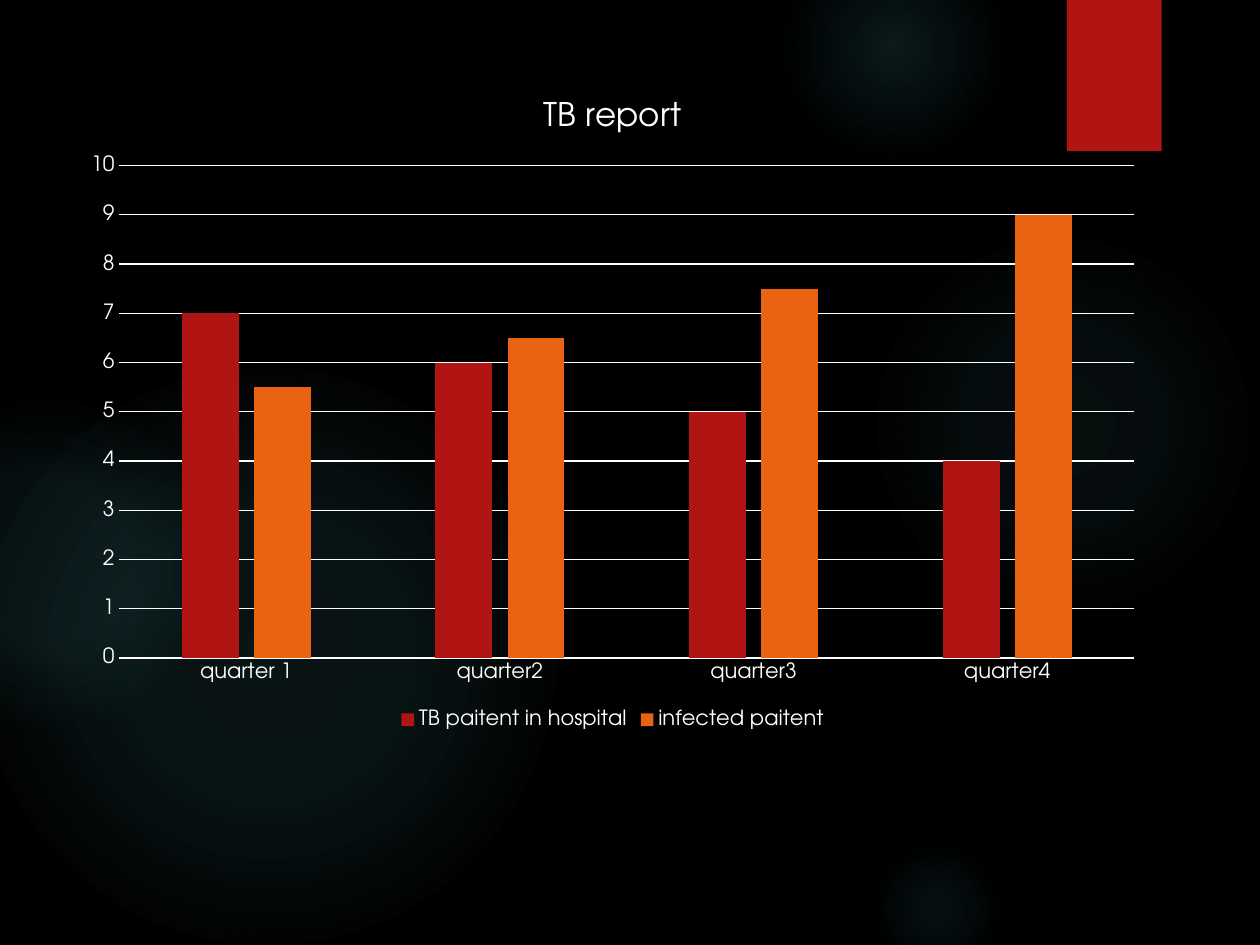
from pptx import Presentation
from pptx.chart.data import CategoryChartData
from pptx.dml.color import RGBColor
from pptx.enum.chart import XL_CHART_TYPE, XL_LEGEND_POSITION, XL_TICK_MARK
from pptx.enum.shapes import MSO_SHAPE
from pptx.oxml import parse_xml
from pptx.oxml.ns import nsdecls
from pptx.util import Cm, Pt

FONT = "TeX Gyre Adventor"
COLORS = {
    "back": "000000",
    "text": "FFFFFF",
    "glow": "50B9C1",
    "red": "B01513",
    "orange": "EA6312",
}
GLOWS = [
    (17.5, 4.65, 7.82, [(0, 7), (36, 6), (69, 0)]),
    (15.8, -1.27, 4.45, [(0, 14), (36, 7), (73, 0)]),
    (17.5, 16.94, 2.74, [(0, 9), (36, 5), (66, 0)]),
    (-0.43, 7.42, 11.63, [(0, 11), (36, 10), (75, 0)]),
    (-2.34, 8.05, 6.55, [(0, 8), (36, 8), (72, 0)]),
]
QUARTERS = ["quarter 1", "quarter2", "quarter3", "quarter4"]
SERIES = [
    ("TB paitent in hospital", [7, 6, 5, 4], "red"),
    ("infected paitent", [5.5, 6.5, 7.5, 9], "orange"),
]


def color(name):
    return RGBColor.from_string(COLORS[name])


def set_font(font, size):
    font.name = FONT
    font.size = Pt(size)
    font.color.rgb = color("text")


def set_line(line):
    line.color.rgb = color("text")
    line.width = Pt(0.75)


def add_plain(slide, kind, box):
    shape = slide.shapes.add_shape(kind, *map(Cm, box))
    shape.shadow.inherit = False
    shape.line.fill.background()
    return shape


def add_glow(slide, box, stops):
    shape = add_plain(slide, MSO_SHAPE.OVAL, box)
    shape.fill.background()
    marks = "".join(
        f'<a:gs pos="{spot * 1000}"><a:srgbClr val="{COLORS["glow"]}">'
        f'<a:alpha val="{alpha * 1000}"/></a:srgbClr></a:gs>'
        for spot, alpha in stops
    )
    grad = parse_xml(
        f'<a:gradFill {nsdecls("a")}><a:gsLst>{marks}</a:gsLst>'
        '<a:path path="circle"><a:fillToRect l="50000" t="50000" '
        'r="50000" b="50000"/></a:path></a:gradFill>'
    )
    props = shape.element.spPr
    props.replace(props.find("{*}noFill"), grad)


def add_decor(slide):
    fill = slide.background.fill
    fill.solid()
    fill.fore_color.rgb = color("back")
    for left, top, size, stops in GLOWS:
        add_glow(slide, (left, top, size, size), stops)
    tab = add_plain(slide, MSO_SHAPE.RECTANGLE, (21.51, 0, 1.91, 3.05))
    tab.fill.solid()
    tab.fill.fore_color.rgb = color("red")


def style_axes(chart):
    for axis in (chart.category_axis, chart.value_axis):
        axis.major_tick_mark = XL_TICK_MARK.NONE
        axis.minor_tick_mark = XL_TICK_MARK.NONE
        set_font(axis.tick_labels.font, 12)
    set_line(chart.category_axis.format.line)
    values = chart.value_axis
    values.minimum_scale = 0
    values.maximum_scale = 10
    values.major_unit = 1
    values.format.line.fill.background()
    set_line(values.major_gridlines.format.line)


def add_report(slide, box):
    data = CategoryChartData()
    data.categories = QUARTERS
    for name, values, _ in SERIES:
        data.add_series(name, values)
    frame = slide.shapes.add_chart(
        XL_CHART_TYPE.COLUMN_CLUSTERED, *map(Cm, box), data
    )
    chart = frame.chart
    set_font(chart.font, 10)
    title = chart.chart_title
    title.include_in_layout = False
    title.text_frame.text = "TB report"
    head = title.text_frame.paragraphs[0].font
    set_font(head, 18.6)
    head.bold = False
    chart.has_legend = True
    chart.legend.position = XL_LEGEND_POSITION.BOTTOM
    chart.legend.include_in_layout = False
    set_font(chart.legend.font, 12)
    style_axes(chart)
    plot = chart.plots[0]
    plot.gap_width = 219
    plot.overlap = -27
    plot.vary_by_categories = False
    for bars, (_, _, shade) in zip(plot.series, SERIES):
        bars.format.fill.solid()
        bars.format.fill.fore_color.rgb = color(shade)


def main():
    deck = Presentation()
    deck.slide_width = Cm(25.4)
    deck.slide_height = Cm(19.05)
    slide = deck.slides.add_slide(deck.slide_layouts[6])
    add_decor(slide)
    add_report(slide, (1.4, 1.47, 21.9, 13.34))
    deck.save("out.pptx")


if __name__ == "__main__":
    main()
